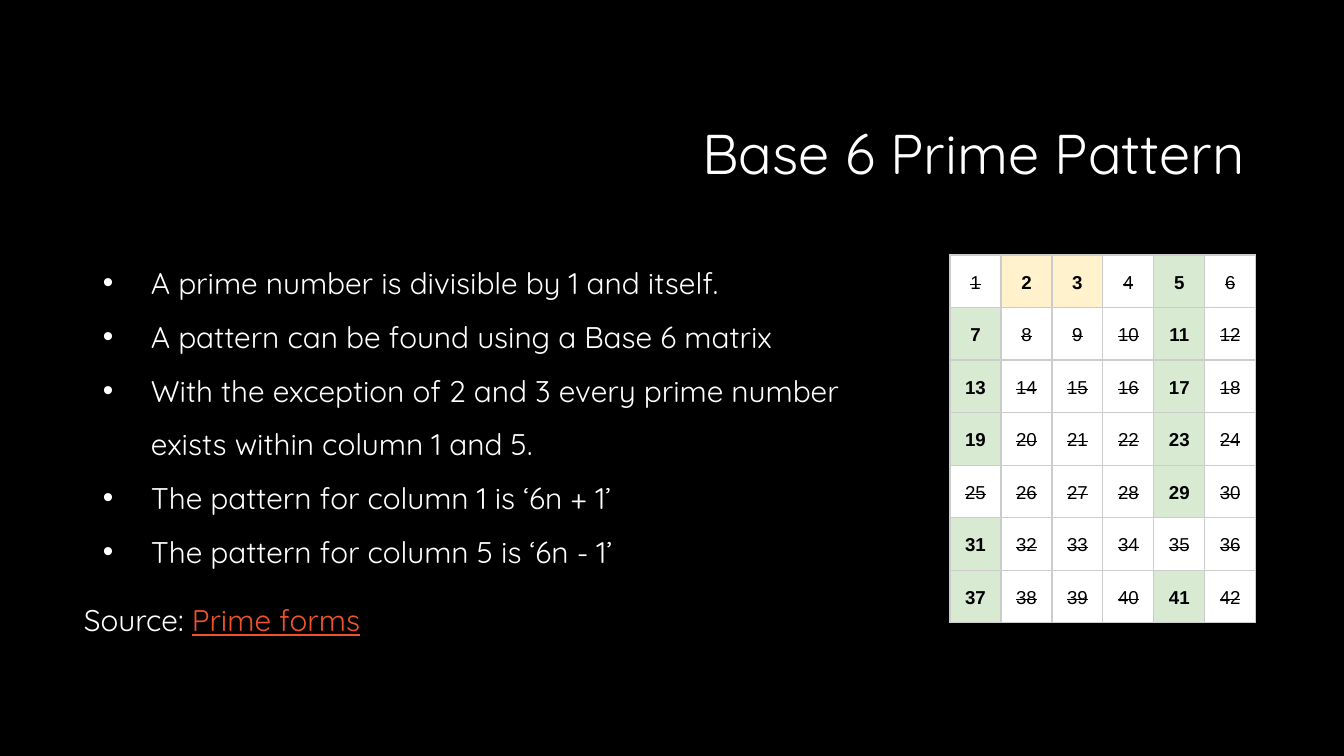
from lxml import etree
from pptx import Presentation
from pptx.dml.color import RGBColor
from pptx.enum.text import MSO_ANCHOR, MSO_AUTO_SIZE, PP_ALIGN
from pptx.oxml.ns import qn
from pptx.util import Pt

MIDDLE, TOP = MSO_ANCHOR.MIDDLE, MSO_ANCHOR.TOP
LEFT, CENTER, RIGHT = PP_ALIGN.LEFT, PP_ALIGN.CENTER, PP_ALIGN.RIGHT
NO_FIT = MSO_AUTO_SIZE.NONE

BLACK = RGBColor(0x00, 0x00, 0x00)
WHITE = RGBColor(0xFF, 0xFF, 0xFF)
ORANGE = RGBColor(0xF0, 0x53, 0x2B)
YELLOW = RGBColor(0xFF, 0xF2, 0xCC)
GREEN = RGBColor(0xD9, 0xEA, 0xD3)
GRID_GREY = RGBColor(0xCC, 0xCC, 0xCC)

TITLE = "Base 6 Prime Pattern "
FACTS = [
    "A prime number is divisible by 1 and itself.",
    "A pattern can be found using a Base 6 matrix",
    "With the exception of 2 and 3 every prime number exists within column 1 and 5.",
    "The pattern for column 1 is ‘6n + 1’",
    "The pattern for column 5 is ‘6n - 1’",
]
SOURCE_LABEL, SOURCE_NAME = "Source: ", "Prime forms"
ROWS, BASE = 7, 6
EXCEPTIONS = (2, 3)

# Pixels: left, top, width, height
SLIDE_SIZE = (1344, 756)
TITLE_BOX = (320, 85, 949, 142)
BODY_BOX = (75, 242, 837, 444)
MATRIX_BOX = (950, 255, 306, 368)
BOX_INSETS = (9, 5)
CELL_INSETS = (4, 3)
BULLET_INDENT, BULLET_HANG = 67, 48
EMU_PER_PIXEL = 914400 / 134.4


def px(pixels):
    """Turn pixels into EMU."""
    return round(pixels * EMU_PER_PIXEL)


def style_run(run, font_name, size, color):
    """Set font, size and colour of a run."""
    run.font.name = font_name
    run.font.size = Pt(size)
    run.font.color.rgb = color


def set_margins(area, insets):
    """Set equal side and equal top and bottom margins."""
    area.margin_left = area.margin_right = px(insets[0])
    area.margin_top = area.margin_bottom = px(insets[1])


def prepare_placeholder(placeholder, box, anchor):
    """Move a placeholder and return its text frame."""
    placeholder.left, placeholder.top, placeholder.width, placeholder.height = map(px, box)
    frame = placeholder.text_frame
    frame.auto_size = NO_FIT
    frame.word_wrap = True
    frame.vertical_anchor = anchor
    set_margins(frame, BOX_INSETS)
    return frame


def format_paragraph(paragraph, align, spacing, before=0):
    """Set alignment and spacing of a paragraph."""
    paragraph.alignment = align
    paragraph.line_spacing = spacing
    paragraph.space_before = Pt(before)
    paragraph.space_after = Pt(0)


def set_bullet(paragraph, bulleted):
    """Give a paragraph a hanging white bullet, or none."""
    props = paragraph._p.get_or_add_pPr()
    props.set("marL", str(px(BULLET_INDENT) if bulleted else 0))
    props.set("indent", str(-px(BULLET_HANG) if bulleted else 0))
    if not bulleted:
        etree.SubElement(props, qn("a:buNone"))
        return
    color = etree.SubElement(props, qn("a:buClr"))
    etree.SubElement(color, qn("a:srgbClr"), val=str(WHITE))
    etree.SubElement(props, qn("a:buFont"), typeface="Arial")
    etree.SubElement(props, qn("a:buChar"), char="•")


def set_borders(cell):
    """Draw a thin grey line on all sides of a cell."""
    props = cell._tc.get_or_add_tcPr()
    for position, side in enumerate(("a:lnL", "a:lnR", "a:lnT", "a:lnB")):
        line = etree.Element(qn(side), w=str(Pt(0.75)))
        fill = etree.SubElement(line, qn("a:solidFill"))
        etree.SubElement(fill, qn("a:srgbClr"), val=str(GRID_GREY))
        props.insert(position, line)


def is_prime(number):
    """Tell whether a number is prime."""
    return number > 1 and all(number % divisor for divisor in range(2, number))


def fill_cell(cell, number):
    """Write a number: primes bold on colour, others struck out on white."""
    prime = is_prime(number)
    cell.text_frame.text = str(number)
    cell.vertical_anchor = MIDDLE
    set_margins(cell, CELL_INSETS)
    paragraph = cell.text_frame.paragraphs[0]
    format_paragraph(paragraph, CENTER, 1.15)
    run = paragraph.runs[0]
    style_run(run, "Arial", 10, BLACK)
    run.font.bold = prime
    if not prime:
        run.font._element.set("strike", "sngStrike")
    cell.fill.solid()
    prime_color = YELLOW if number in EXCEPTIONS else GREEN
    cell.fill.fore_color.rgb = prime_color if prime else WHITE
    set_borders(cell)


presentation = Presentation()
presentation.slide_width, presentation.slide_height = map(px, SLIDE_SIZE)
slide = presentation.slides.add_slide(presentation.slide_layouts[1])
slide.background.fill.solid()
slide.background.fill.fore_color.rgb = BLACK

title_frame = prepare_placeholder(slide.shapes.title, TITLE_BOX, MIDDLE)
title_frame.text = TITLE
heading = title_frame.paragraphs[0]
format_paragraph(heading, RIGHT, 0.9)
style_run(heading.runs[0], "Quicksand", 30, WHITE)

body_frame = prepare_placeholder(slide.placeholders[1], BODY_BOX, TOP)
body_frame.text = "\n".join(FACTS + [SOURCE_LABEL])
source_line = body_frame.paragraphs[-1]
source_line.add_run().text = SOURCE_NAME
for index, paragraph in enumerate(body_frame.paragraphs):
    is_fact = index < len(FACTS)
    format_paragraph(paragraph, LEFT, 1.5, 8 if index in (0, len(FACTS)) else 0)
    set_bullet(paragraph, is_fact)
    for run in paragraph.runs:
        style_run(run, "Quicksand", 16, WHITE)
source_name = source_line.runs[-1]
source_name.font.color.rgb = ORANGE
source_name.font.underline = True

matrix = slide.shapes.add_table(ROWS, BASE, *map(px, MATRIX_BOX)).table
matrix.first_row = matrix.horz_banding = False
for number in range(1, ROWS * BASE + 1):
    fill_cell(matrix.cell(*divmod(number - 1, BASE)), number)

presentation.save("out.pptx")
